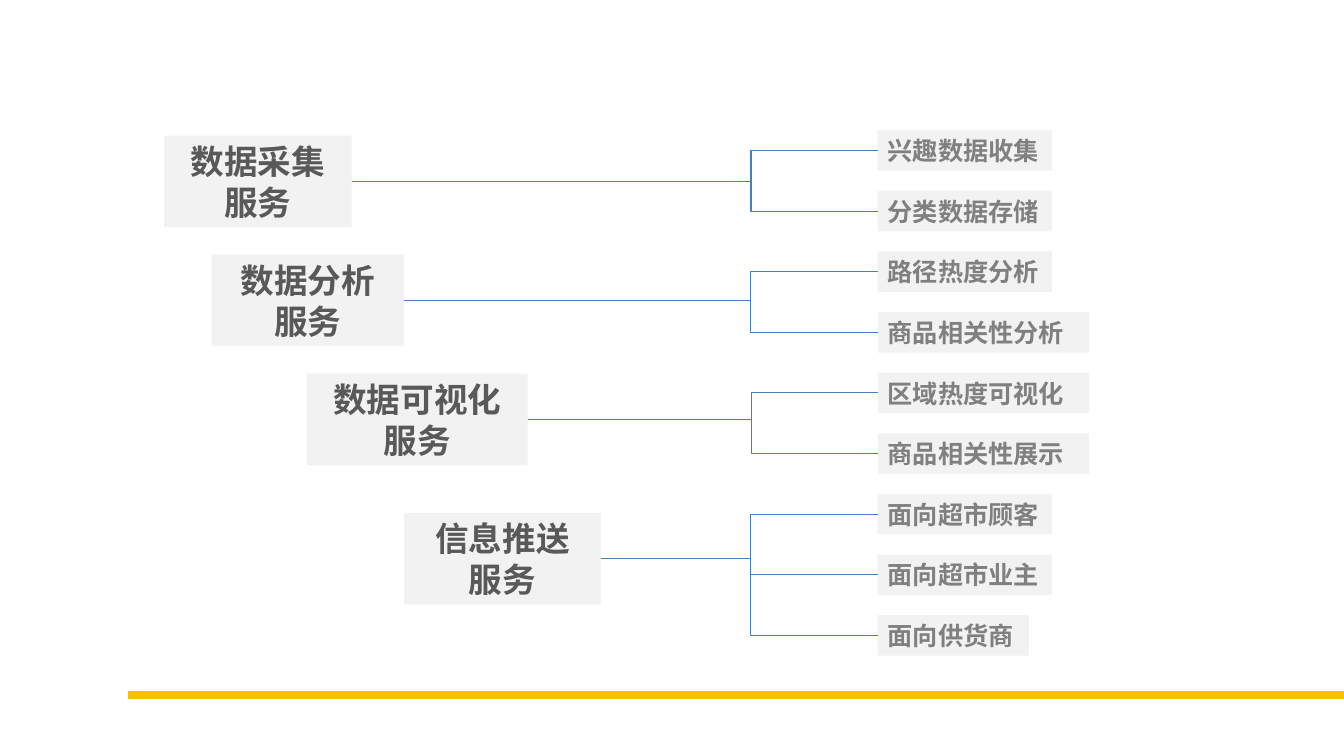
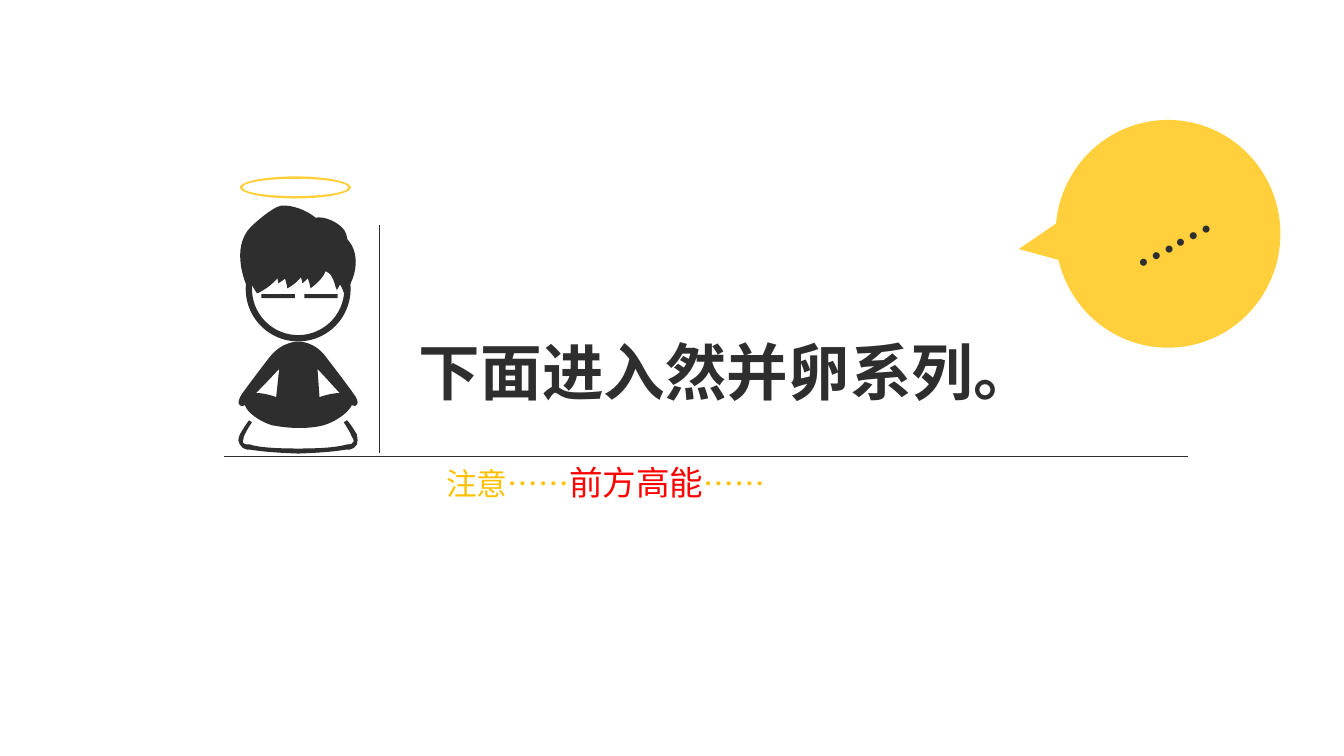
"""Builds a service tree slide and a section slide with a meditating figure."""
from lxml import etree
from pptx import Presentation
from pptx.dml.color import RGBColor
from pptx.enum.shapes import MSO_CONNECTOR as Connector, MSO_SHAPE as Shape
from pptx.enum.text import MSO_ANCHOR as Anchor, MSO_AUTO_SIZE as AutoSize, PP_ALIGN as Align
from pptx.oxml.ns import qn
from pptx.util import Pt

CJK_FONT, LABEL_FONT, DOTS_FONT = "Noto Sans CJK SC", "Calibri", "Lato"
INK, AMBER, BUBBLE, RED = "2E2E2E", "FFC000", "FFD03B", "FF0000"
PANEL, LABEL_TEXT, TAG_TEXT, LINK = "F2F2F2", "595959", "808080", "4B7EBC"
WHITE = "FFFFFF"

SERVICES = [
    ("数据采集\n服务", (117.2, 96.8, 134), ["兴趣数据收集", "分类数据存储"]),
    ("数据分析\n服务", (151.2, 181.8, 137.5), ["路径热度分析", "商品相关性分析"]),
    ("数据可视化\n服务", (219.2, 266.8, 157.7), ["区域热度可视化", "商品相关性展示"]),
    ("信息推送\n服务", (288.7, 366.3, 140.4), ["面向超市顾客", "面向超市业主", "面向供货商"]),
]
LABEL_HEIGHT, TRUNK_X = 65.5, 536.4
TAG_LEFT, TAG_TOP, TAG_STEP, TAG_HEIGHT = 627, 93, 43.3, 29
TAG_WIDTHS = {5: 108, 6: 124.6, 7: 151}

TITLE = "下面进入然并卵系列。"
WARNING = [("注意……", 22, AMBER), ("前方高能", 24, RED), ("……", 22, AMBER)]

OUTLINE_UNIT = 0.72
BODY = [
    [(351, 391), (344, 381, 324, 355, 324, 355), (312, 338, 296, 339, 296, 339),
     (296, 339, 280, 338, 267, 355), (267, 355, 247, 381, 240, 391),
     (234, 400, 237, 405, 243, 402), (245, 409, 257, 418, 270, 422),
     (272, 422, 296, 428, 321, 422), (334, 418, 346, 409, 349, 402),
     (354, 405, 358, 400, 351, 391)],
    [(254, 390), (264, 380, 277, 366, 277, 366), (274, 394), (274, 394, 264, 390, 254, 390)],
    [(317, 394), (315, 366), (315, 366, 328, 380, 337, 390), (328, 390, 317, 394, 317, 394)],
]
CUSHION = [
    [(341, 419), (341, 419, 346, 426, 349, 433), (350, 435, 351, 436, 351, 438),
     (351, 438, 351, 438, 350, 439), (350, 440, 348, 441, 346, 441), (344, 441),
     (337, 443, 325, 445, 296, 445), (266, 445, 254, 443, 248, 441), (245, 441),
     (243, 441, 242, 440, 241, 439), (241, 438), (241, 436, 241, 435, 242, 433),
     (245, 426, 250, 419, 250, 419), (247, 417), (247, 417, 242, 424, 238, 431),
     (236, 436, 236, 439, 238, 441), (239, 443, 241, 445, 245, 446), (247, 446),
     (254, 447, 266, 449, 296, 450), (326, 449, 337, 447, 344, 446), (347, 446),
     (351, 445, 353, 443, 354, 441), (355, 439, 355, 436, 354, 431),
     (350, 424, 345, 417, 344, 417)],
]
BACK_HAIR = [
    [(280, 270), (284, 277, 285, 286, 285, 286), (285, 286, 296, 281, 302, 270),
     (307, 277, 308, 286, 308, 286), (308, 286, 320, 278, 323, 269),
     (334, 275, 338, 282, 341, 290), (341, 291, 342, 291, 342, 292), (342, 293),
     (342, 293, 346, 286, 350, 276), (354, 265, 355, 250, 346, 239),
     (337, 228, 323, 228, 314, 230), (307, 224, 298, 221, 289, 221),
     (269, 222, 252, 237, 252, 237), (230, 256, 253, 288, 255, 291),
     (256, 291, 271, 284, 280, 270)],
]
FRINGE = [
    [(271, 263), (275, 270, 276, 281, 276, 281), (276, 281, 288, 275, 294, 263),
     (298, 270, 300, 281, 300, 281), (300, 281, 312, 272, 315, 261),
     (327, 268, 331, 276, 333, 285), (333, 286, 334, 286, 334, 287), (334, 288),
     (334, 288, 339, 281, 342, 269), (346, 257, 347, 238, 342, 229),
     (337, 221, 322, 214, 313, 216), (305, 209, 290, 203, 279, 204),
     (269, 206, 250, 224, 249, 225), (228, 246, 244, 283, 246, 286),
     (246, 286, 262, 278, 271, 263)],
]


def color(value):
    return RGBColor.from_string(value)


def paint(shape, fill, line=None, width=0):
    shape.shadow.inherit = False
    shape.fill.solid()
    shape.fill.fore_color.rgb = color(fill)
    if line:
        shape.line.color.rgb = color(line)
        shape.line.width = Pt(width)
    else:
        shape.line.fill.background()
    return shape


def add_figure(slide, kind, box, fill, rotation=0, line=None, width=0):
    shape = slide.shapes.add_shape(kind, *map(Pt, box))
    shape.rotation = rotation
    return paint(shape, fill, line, width)


def add_line(slide, start, end, line, width, kind=Connector.STRAIGHT):
    connector = slide.shapes.add_connector(kind, *map(Pt, start + end))
    connector.line.color.rgb = color(line)
    connector.line.width = Pt(width)
    etree.SubElement(connector._element.spPr, qn("a:effectLst"))
    return connector


def style(font, name, size, value, bold=False):
    font.name, font.size, font.bold = name, Pt(size), bold
    font.color.rgb = color(value)


def set_east_asian_fonts(shape):
    for latin in list(shape._element.iter(qn("a:latin"))):
        latin.addnext(latin.makeelement(qn("a:ea"), {"typeface": latin.get("typeface")}))


def set_frame(shape, anchor=Anchor.MIDDLE):
    frame = shape.text_frame
    frame.word_wrap, frame.auto_size = True, AutoSize.NONE
    frame.vertical_anchor = anchor
    frame.margin_left = frame.margin_right = Pt(7.2)
    frame.margin_top = frame.margin_bottom = Pt(3.6)
    return frame


def write(shape, text, name, size, value, bold=False, align=Align.LEFT, anchor=Anchor.MIDDLE):
    frame = set_frame(shape, anchor)
    frame.text = text
    for paragraph in frame.paragraphs:
        paragraph.alignment = align
        style(paragraph.font, name, size, value, bold)
    set_east_asian_fonts(shape)


def place(shape, left, top, width, height):
    shape.left, shape.top, shape.width, shape.height = map(Pt, (left, top, width, height))


def contour_points(contour):
    return [tuple(Pt(value * OUTLINE_UNIT) for value in segment[index:index + 2])
            for segment in contour for index in range(0, len(segment), 2)]


def bend_segments(shape, contours):
    steps = shape._element.iter(qn("a:lnTo"))
    lines = iter(list(steps))
    for contour in contours:
        for segment in contour[1:]:
            first = next(lines)
            if len(segment) == 6:
                curve = first.makeelement(qn("a:cubicBezTo"))
                first.addprevious(curve)
                for line in (first, next(lines), next(lines)):
                    curve.append(line[0])
                    line.getparent().remove(line)


def add_outline(slide, contours, fill):
    first, *holes = map(contour_points, contours)
    builder = slide.shapes.build_freeform(*first[0], scale=1.0)
    builder.add_line_segments(first[1:], close=True)
    for hole in holes:
        builder.move_to(*hole[0])
        builder.add_line_segments(hole[1:], close=True)
    shape = paint(builder.convert_to_shape(), fill)
    bend_segments(shape, contours)


def add_branch(slide, label, tag):
    connector = add_line(slide, (0, 0), (1, 1), LINK, 0.75, Connector.ELBOW)
    connector.begin_connect(label, 3)
    connector.end_connect(tag, 1)
    start = label.left + label.width
    ratio = (Pt(TRUNK_X) - start) / (tag.left - start)
    geometry = connector._element.spPr.find(qn("a:prstGeom"))
    guides = geometry.find(qn("a:avLst"))
    if guides is None:
        guides = etree.SubElement(geometry, qn("a:avLst"))
    etree.SubElement(guides, qn("a:gd"), name="adj1", fmla=f"val {round(ratio * 100000)}")


def build_service_slide(presentation):
    slide = presentation.slides.add_slide(presentation.slide_layouts[6])
    add_line(slide, (91.4, 496.5), (960, 496.5), AMBER, 5.25)
    row = 0
    for text, box, tags in SERVICES:
        label = add_figure(slide, Shape.RECTANGLE, (*box, LABEL_HEIGHT), PANEL)
        write(label, text, LABEL_FONT, 24, LABEL_TEXT, True, Align.CENTER)
        for tag_text in tags:
            tag_box = (TAG_LEFT, TAG_TOP + row * TAG_STEP, TAG_WIDTHS[len(tag_text)], TAG_HEIGHT)
            tag = add_figure(slide, Shape.RECTANGLE, tag_box, PANEL)
            write(tag, tag_text, CJK_FONT, 18, TAG_TEXT, True)
            add_branch(slide, label, tag)
            row += 1


def add_meditator(slide):
    add_outline(slide, BODY, INK)
    add_outline(slide, CUSHION, INK)
    add_figure(slide, Shape.OVAL, (177.8, 171.2, 70.4, 70.4), WHITE, line=INK, width=4.5)
    add_outline(slide, BACK_HAIR, INK)
    for left in (186.8, 217.4):
        add_figure(slide, Shape.RECTANGLE, (left, 210.2, 23.8, 2.9), INK)
    add_outline(slide, FRINGE, INK)
    halo = add_figure(slide, Shape.DONUT, (171.4, 126, 79.2, 15.8), BUBBLE)
    halo.adjustments[0] = 0.11


def build_section_slide(presentation):
    slide = presentation.slides.add_slide(presentation.slide_layouts[0])
    title, warning = slide.shapes.title, slide.placeholders[1]
    place(title, 292, 234.8, 535.6, 82)
    write(title, TITLE, CJK_FONT, 44, INK, True, anchor=Anchor.TOP)
    place(warning, 255.1, 326.2, 355, 36)
    paragraph = set_frame(warning).paragraphs[0]
    paragraph.alignment, paragraph.space_before = Align.CENTER, Pt(0)
    for text, size, value in WARNING:
        run = paragraph.add_run()
        run.text = text
        style(run.font, CJK_FONT, size, value)
    set_east_asian_fonts(warning)
    add_line(slide, (160.3, 326.2), (848.5, 326.2), INK, 0.75)
    add_line(slide, (271, 160.6), (271, 323.8), INK, 0.75)
    add_figure(slide, Shape.ISOSCELES_TRIANGLE, (729.2, 149.8, 44.6, 48.2), BUBBLE, 260.5)
    add_figure(slide, Shape.OVAL, (754, 85.7, 160.6, 162.7), BUBBLE)
    dots = slide.shapes.add_textbox(*map(Pt, (762.9, 135.8, 140.4, 55.4)))
    dots.rotation = 332.7
    write(dots, "……", DOTS_FONT, 40, INK, align=Align.CENTER)
    add_meditator(slide)


def main():
    presentation = Presentation()
    presentation.slide_width, presentation.slide_height = Pt(960), Pt(540)
    build_service_slide(presentation)
    build_section_slide(presentation)
    presentation.save("out.pptx")


if __name__ == "__main__":
    main()
